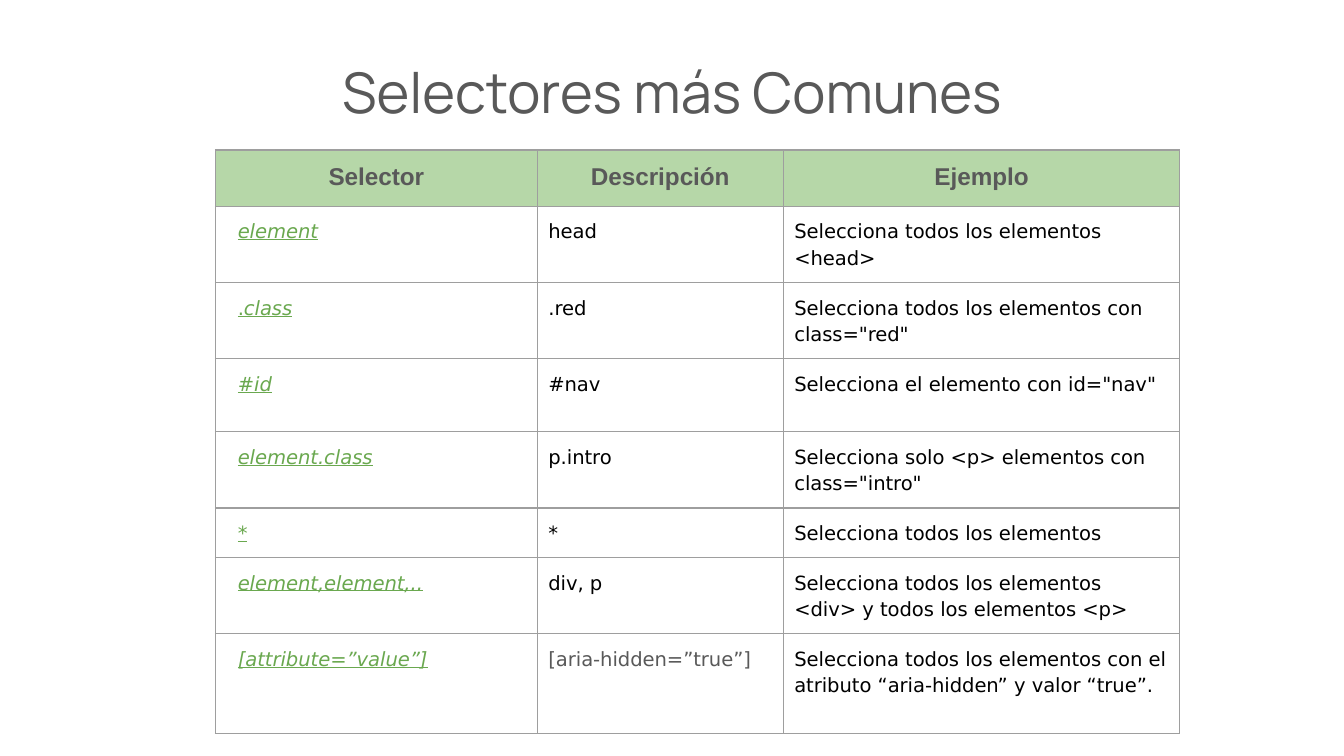
import pptx
import pptx.dml.color
import pptx.enum.text
import pptx.oxml
import pptx.oxml.ns
import pptx.util

Pt = pptx.util.Pt
ALIGN = pptx.enum.text.PP_ALIGN

GREY, BLACK, GREEN = "595959", "000000", "6AA84F"
HEADER_FILL, BORDER = "B6D7A8", "9E9E9E"

HEADERS = ["Selector", "Descripción", "Ejemplo"]
SELECTORS = [
    ("element", "head", "Selecciona todos los elementos <head>"),
    (".class", ".red", 'Selecciona todos los elementos con class="red"'),
    ("#id", "#nav", 'Selecciona el elemento con id="nav"'),
    ("element.class", "p.intro", 'Selecciona solo <p> elementos con class="intro"'),
    ("*", "*", "Selecciona todos los elementos"),
    ("element,element,..", "div, p",
     "Selecciona todos los elementos <div> y todos los elementos <p>"),
    ("[attribute=”value”]", "[aria-hidden=”true”]",
     "Selecciona todos los elementos con el atributo “aria-hidden” y valor “true”."),
]
COLUMN_WIDTHS = [172.4, 131.8, 212.5]
ROW_HEIGHTS = [30, 39, 39, 39, 39, 24.5, 39, 53.5]


def rgb(hex_color):
    return pptx.dml.color.RGBColor.from_string(hex_color)


def add_text(paragraph, text, font="DejaVu Sans", size=10.5, color=BLACK,
             bold=False, italic=False, underline=False):
    run = paragraph.add_run()
    run.text = text
    run.font.name = font
    run.font.size = Pt(size)
    run.font.color.rgb = rgb(color)
    run.font.bold = bold
    run.font.italic = italic
    run.font.underline = underline


def add_title(slide, text):
    title = slide.shapes.add_textbox(Pt(88), Pt(26), Pt(544), Pt(45.5))
    frame = title.text_frame
    frame.word_wrap = True
    frame.vertical_anchor = pptx.enum.text.MSO_ANCHOR.MIDDLE
    frame.margin_left = frame.margin_right = Pt(0)
    frame.margin_top = frame.margin_bottom = Pt(0)
    paragraph = frame.paragraphs[0]
    paragraph.alignment = ALIGN.CENTER
    add_text(paragraph, text, font="Manrope", size=30, color=GREY)


def set_borders(cell):
    """Draw all four sides; must run before the fill is set."""
    properties = cell._tc.get_or_add_tcPr()
    for side in ("lnL", "lnR", "lnT", "lnB"):
        properties.append(pptx.oxml.parse_xml(
            f'<a:{side} {pptx.oxml.ns.nsdecls("a")} w="{Pt(0.75)}">'
            f'<a:solidFill><a:srgbClr val="{BORDER}"/></a:solidFill></a:{side}>'))


def format_cell(cell, margin, left_margin=None, fill=None):
    """Set borders, margins and fill, and return the cell's paragraph."""
    set_borders(cell)
    cell.margin_left = Pt(left_margin or margin)
    cell.margin_right = cell.margin_top = cell.margin_bottom = Pt(margin)
    if fill:
        cell.fill.solid()
        cell.fill.fore_color.rgb = rgb(fill)
    else:
        cell.fill.background()
    return cell.text_frame.paragraphs[0]


def fill_header(cell, text):
    paragraph = format_cell(cell, 7.2, fill=HEADER_FILL)
    paragraph.alignment = ALIGN.CENTER
    add_text(paragraph, text, font="Arial", size=13, color=GREY, bold=True)


def fill_body(cell, text, color=BLACK):
    paragraph = format_cell(cell, 6)
    paragraph.line_spacing = 1.15
    add_text(paragraph, text, color=color)


def fill_selector(cell, selector):
    """Write a selector with its leading symbol upright and its name italic."""
    paragraph = format_cell(cell, 6, left_margin=12)
    paragraph.line_spacing = 1.15
    name = selector.lstrip(".#*")
    symbol = selector[:len(selector) - len(name)]
    for part, italic in ((symbol, False), (name, True)):
        if part:
            add_text(paragraph, part, color=GREEN, italic=italic, underline=True)


def add_selector_table(slide):
    table = slide.shapes.add_table(
        len(ROW_HEIGHTS), len(COLUMN_WIDTHS), Pt(115.4), Pt(80.4),
        Pt(sum(COLUMN_WIDTHS)), Pt(sum(ROW_HEIGHTS))).table
    table.first_row = table.horz_banding = False
    for column, width in zip(table.columns, COLUMN_WIDTHS):
        column.width = Pt(width)
    for row, height in zip(table.rows, ROW_HEIGHTS):
        row.height = Pt(height)

    for column, header in enumerate(HEADERS):
        fill_header(table.cell(0, column), header)
    for row, (selector, sample, meaning) in enumerate(SELECTORS, start=1):
        fill_selector(table.cell(row, 0), selector)
        fill_body(table.cell(row, 1), sample,
                  color=GREY if sample.startswith("[") else BLACK)
        fill_body(table.cell(row, 2), meaning)


def main():
    presentation = pptx.Presentation()
    presentation.slide_width = Pt(720)
    presentation.slide_height = Pt(405)
    slide = presentation.slides.add_slide(presentation.slide_layouts[6])
    add_title(slide, "Selectores más Comunes")
    add_selector_table(slide)
    presentation.save("out.pptx")


if __name__ == "__main__":
    main()
